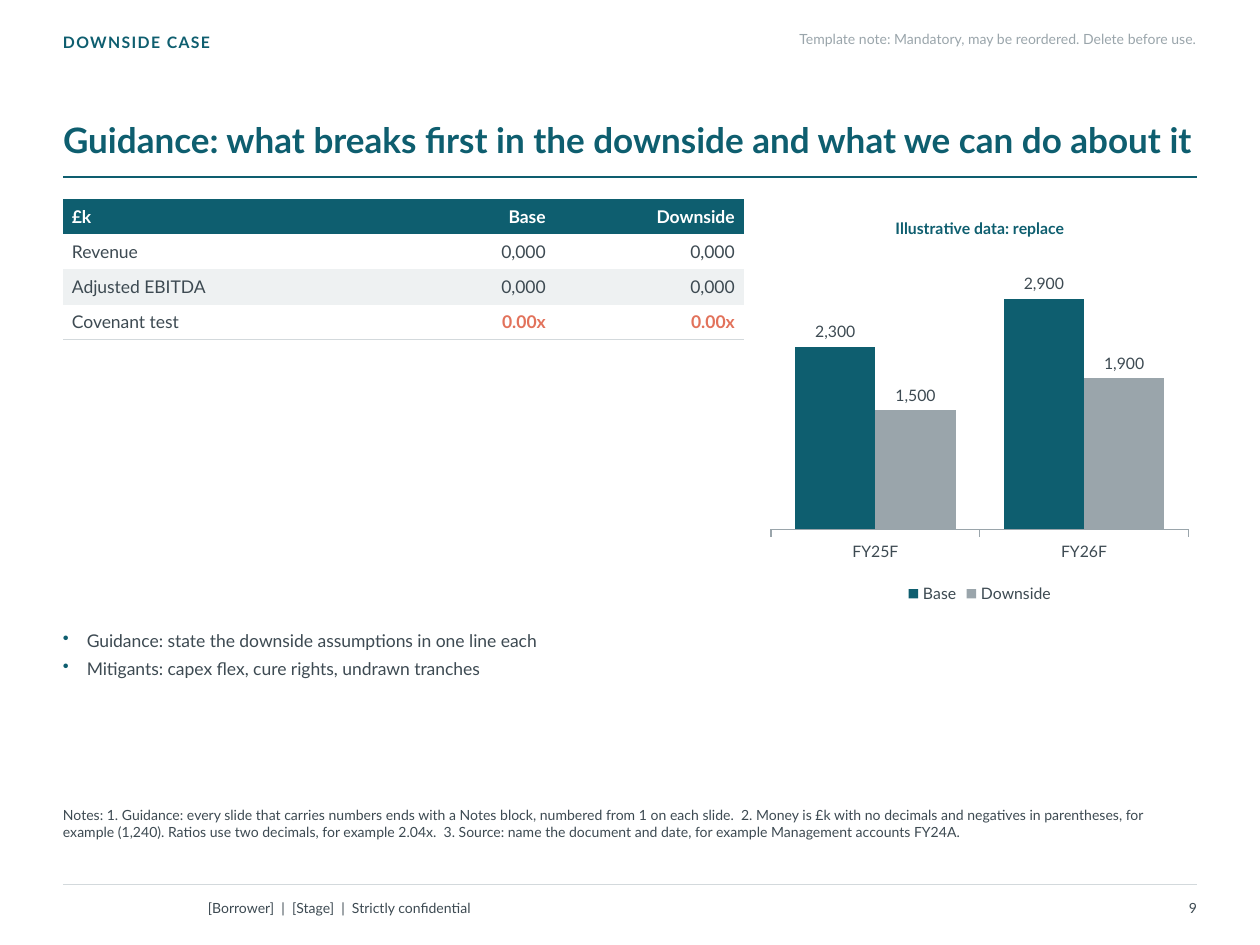
from dataclasses import dataclass

from lxml.etree import SubElement
from pptx import Presentation
from pptx.chart.data import CategoryChartData
from pptx.dml.color import RGBColor
from pptx.enum.chart import XL_CHART_TYPE as ChartType
from pptx.enum.chart import XL_LABEL_POSITION as LabelPosition
from pptx.enum.chart import XL_LEGEND_POSITION as LegendPosition
from pptx.enum.chart import XL_TICK_LABEL_POSITION as TickLabelPosition
from pptx.enum.chart import XL_TICK_MARK as TickMark
from pptx.enum.shapes import MSO_CONNECTOR as Connector
from pptx.enum.text import MSO_ANCHOR as Anchor
from pptx.enum.text import MSO_AUTO_SIZE as AutoSize
from pptx.enum.text import PP_ALIGN as Align
from pptx.oxml.ns import qn
from pptx.util import Cm, Pt

TEAL = RGBColor(0x0E, 0x5E, 0x6F)
SLATE = RGBColor(0x3D, 0x4A, 0x52)
GREY = RGBColor(0x9A, 0xA5, 0xAB)
RULE_GREY = RGBColor(0xD3, 0xD9, 0xDC)
BAND = RGBColor(0xEE, 0xF1, 0xF2)
CORAL = RGBColor(0xE2, 0x72, 0x5B)
WHITE = RGBColor(0xFF, 0xFF, 0xFF)
FONT = "Lato"
LEFT, RIGHT = 1.27, 24.13
WIDTH = RIGHT - LEFT
BODY_TOP = 4.01


@dataclass
class TextItem:
    """A text block; box and insets are in centimetres."""
    lines: list[str]
    box: tuple[float, float, float, float]
    size: float
    color: RGBColor = SLATE
    bold: bool = False
    align: Align = Align.LEFT
    anchor: Anchor = Anchor.TOP
    insets: tuple[float, float, float, float] = (0, 0, 0, 0)
    spacing: float = 0
    bulleted: bool = False


@dataclass
class Rule:
    y: float
    color: RGBColor
    weight: float


TITLE = TextItem(["Guidance: what breaks first in the downside and what we can do about it"],
                 (LEFT, 1.27, WIDTH, 2.08), 20, TEAL, bold=True,
                 anchor=Anchor.BOTTOM, insets=(0, 0, 0, 0.1))
TEXTS = [
    TextItem(["DOWNSIDE CASE"], (LEFT, 0.66, 17.78, 0.61), 9, TEAL, bold=True, spacing=0.8),
    TextItem(["Guidance: state the downside assumptions in one line each",
              "Mitigants: capex flex, cure rights, undrawn tranches"],
             (LEFT, 12.65, WIDTH, 3.4), 10, insets=(0, 0.05, 0, 0), bulleted=True),
    TextItem(["Notes: 1. Guidance: every slide that carries numbers ends with a Notes block, "
              "numbered from 1 on each slide.  2. Money is £k with no decimals and negatives in "
              "parentheses, for example (1,240). Ratios use two decimals, for example 2.04x.  "
              "3. Source: name the document and date, for example Management accounts FY24A."],
             (LEFT, 16.26, WIDTH, 1.47), 8),
    TextItem(["[Borrower]  |  [Stage]  |  Strictly confidential"],
             (4.19, 17.98, 14.22, 0.66), 8, anchor=Anchor.MIDDLE, insets=(0, 0.13, 0.25, 0.13)),
    TextItem(["9"], (21.59, 17.98, 2.54, 0.66), 8, align=Align.RIGHT,
             anchor=Anchor.MIDDLE, insets=(0.25, 0.13, 0, 0.13)),
    TextItem(["Template note: Mandatory, may be reordered. Delete before use."],
             (13.72, 0.61, 10.41, 0.61), 8, GREY, align=Align.RIGHT),
]
RULES = [Rule(17.83, RULE_GREY, 0.75), Rule(3.56, TEAL, 1.25)]
TABLE_ROWS = [
    ("£k", "Base", "Downside"),
    ("Revenue", "0,000", "0,000"),
    ("Adjusted EBITDA", "0,000", "0,000"),
    ("Covenant test", "0.00x", "0.00x"),
]
COLUMN_WIDTHS = (6.1, 3.81, 3.81)
ROW_HEIGHT = 0.71
CATEGORIES = ["FY25F", "FY26F"]
SERIES = [("Base", (2300, 2900), TEAL), ("Downside", (1500, 1900), GREY)]


def set_font(font, size: float, color: RGBColor, bold: bool = False) -> None:
    font.name, font.size, font.bold = FONT, Pt(size), bold
    font.color.rgb = color


def add_bullet(paragraph) -> None:
    properties = paragraph._p.get_or_add_pPr()
    properties.set("marL", str(Cm(0.48)))
    properties.set("indent", str(Cm(-0.48)))
    bullet_color = SubElement(properties, qn("a:buClr"))
    SubElement(bullet_color, qn("a:srgbClr"), val=str(TEAL))
    SubElement(properties, qn("a:buChar"), char="•")


def fill_text(shape, item: TextItem) -> None:
    shape.left, shape.top, shape.width, shape.height = map(Cm, item.box)
    frame = shape.text_frame
    frame.word_wrap, frame.auto_size = True, AutoSize.NONE
    frame.vertical_anchor = item.anchor
    (frame.margin_left, frame.margin_top,
     frame.margin_right, frame.margin_bottom) = map(Cm, item.insets)
    frame.text = "\n".join(item.lines)
    for index, paragraph in enumerate(frame.paragraphs):
        paragraph.alignment = item.align
        paragraph.space_before = Pt(4 if index else 0)
        if item.bulleted:
            add_bullet(paragraph)
        for run in paragraph.runs:
            set_font(run.font, item.size, item.color, item.bold)
            if item.spacing:
                run.font._element.set("spc", str(round(item.spacing * 100)))


def add_rule(slide, rule: Rule) -> None:
    line = slide.shapes.add_connector(Connector.STRAIGHT, Cm(LEFT), Cm(rule.y),
                                      Cm(RIGHT), Cm(rule.y))
    line.line.color.rgb = rule.color
    line.line.width = Pt(rule.weight)
    SubElement(line._element.spPr, qn("a:effectLst"))


def set_borders(cell, has_bottom: bool) -> None:
    properties = cell._tc.get_or_add_tcPr()
    for side in ("lnL", "lnR", "lnT", "lnB"):
        border = SubElement(properties, qn(f"a:{side}"), w=str(Pt(0.5)))
        if side == "lnB" and has_bottom:
            solid = SubElement(border, qn("a:solidFill"))
            SubElement(solid, qn("a:srgbClr"), val=str(RULE_GREY))
        else:
            SubElement(border, qn("a:noFill"))


def add_case_table(slide) -> None:
    table = slide.shapes.add_table(
        len(TABLE_ROWS), len(COLUMN_WIDTHS), Cm(LEFT), Cm(BODY_TOP),
        Cm(sum(COLUMN_WIDTHS)), Cm(ROW_HEIGHT * len(TABLE_ROWS))).table
    table.horz_banding = False
    for column, width in zip(table.columns, COLUMN_WIDTHS):
        column.width = Cm(width)
    for row_index, values in enumerate(TABLE_ROWS):
        table.rows[row_index].height = Cm(ROW_HEIGHT)
        is_header = row_index == 0
        for column_index, value in enumerate(values):
            cell = table.cell(row_index, column_index)
            is_ratio = value.endswith("x")
            set_borders(cell, has_bottom=not is_header)
            cell.fill.solid()
            cell.fill.fore_color.rgb = TEAL if is_header else BAND if row_index == 2 else WHITE
            cell.vertical_anchor = Anchor.MIDDLE
            cell.margin_left = cell.margin_right = Cm(0.18)
            cell.margin_top = cell.margin_bottom = Cm(0.1)
            cell.text_frame.text = value
            paragraph = cell.text_frame.paragraphs[0]
            paragraph.alignment = Align.RIGHT if column_index else Align.LEFT
            color = WHITE if is_header else CORAL if is_ratio else SLATE
            set_font(paragraph.runs[0].font, 10, color, is_header or is_ratio)


def add_case_chart(slide) -> None:
    data = CategoryChartData()
    data.categories = CATEGORIES
    for name, values, _ in SERIES:
        data.add_series(name, values)
    chart = slide.shapes.add_chart(ChartType.COLUMN_CLUSTERED, Cm(15.37), Cm(BODY_TOP),
                                   Cm(8.76), Cm(8.26), data).chart
    set_font(chart.font, 9, SLATE)
    chart.has_title = True
    chart.chart_title.include_in_layout = False
    title = chart.chart_title.text_frame
    title.text = "Illustrative data: replace"
    set_font(title.paragraphs[0].runs[0].font, 9, TEAL, bold=True)
    chart.has_legend = True
    chart.legend.position = LegendPosition.BOTTOM
    chart.legend.include_in_layout = False
    set_font(chart.legend.font, 9, SLATE)

    # Axes
    chart.value_axis.visible = False
    chart.value_axis.has_major_gridlines = False
    chart.value_axis.minimum_scale = 0
    axis = chart.category_axis
    axis.major_tick_mark = TickMark.OUTSIDE
    axis.tick_label_position = TickLabelPosition.LOW
    axis.format.line.color.rgb = GREY
    axis.format.line.width = Pt(0.75)
    set_font(axis.tick_labels.font, 9, SLATE)

    # Columns and their labels
    plot = chart.plots[0]
    plot.gap_width, plot.overlap, plot.vary_by_categories = 60, 0, False
    for series, (_, _, color) in zip(plot.series, SERIES):
        series.format.fill.solid()
        series.format.fill.fore_color.rgb = color
        labels = series.data_labels
        labels.show_value = True
        labels.position = LabelPosition.OUTSIDE_END
        labels.number_format = "#,##0;(#,##0)"
        labels.number_format_is_linked = False
        set_font(labels.font, 9, SLATE)


def main() -> None:
    presentation = Presentation()
    presentation.slide_width, presentation.slide_height = Cm(25.4), Cm(19.05)
    slide = presentation.slides.add_slide(presentation.slide_layouts.get_by_name("Title Only"))
    for rule in RULES:
        add_rule(slide, rule)
    fill_text(slide.shapes.title, TITLE)
    slide.shapes.title.text_frame.paragraphs[0].line_spacing = 0.92
    add_case_table(slide)
    add_case_chart(slide)
    for item in TEXTS:
        fill_text(slide.shapes.add_textbox(*map(Cm, item.box)), item)
    presentation.save("out.pptx")


if __name__ == "__main__":
    main()
